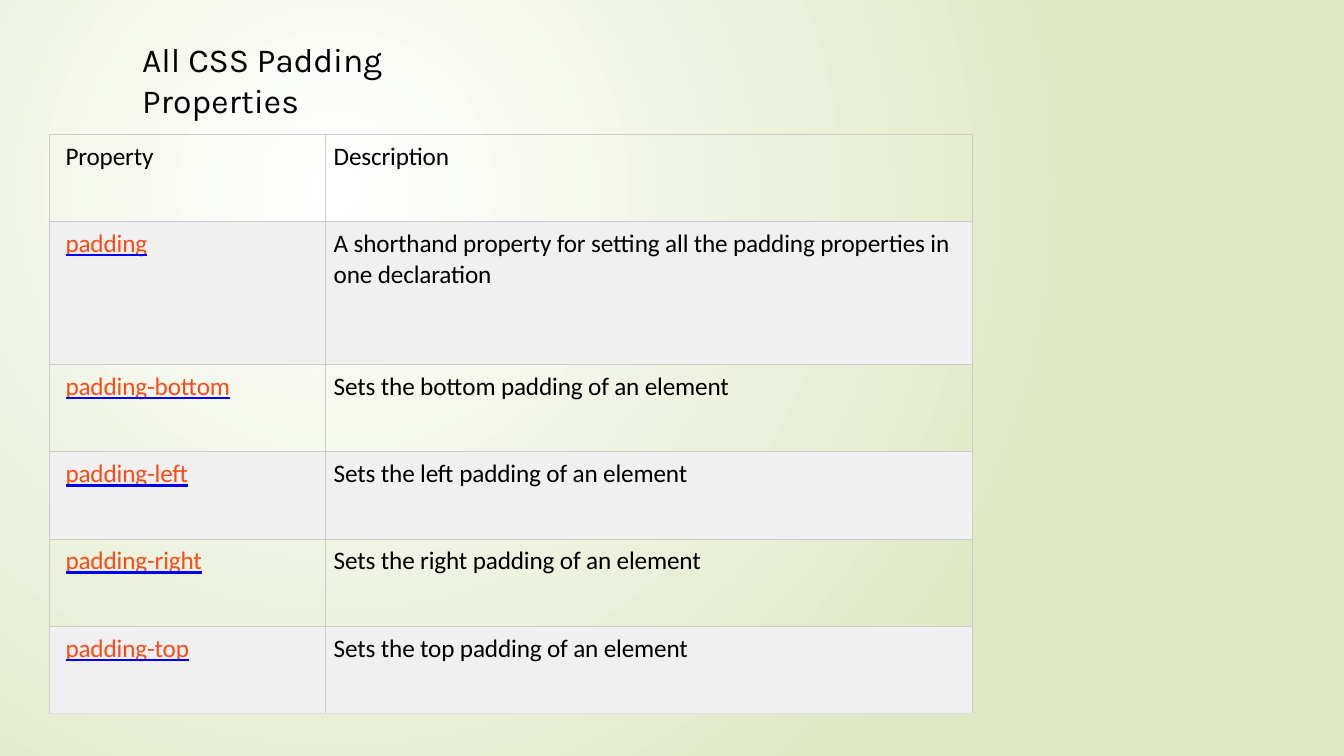
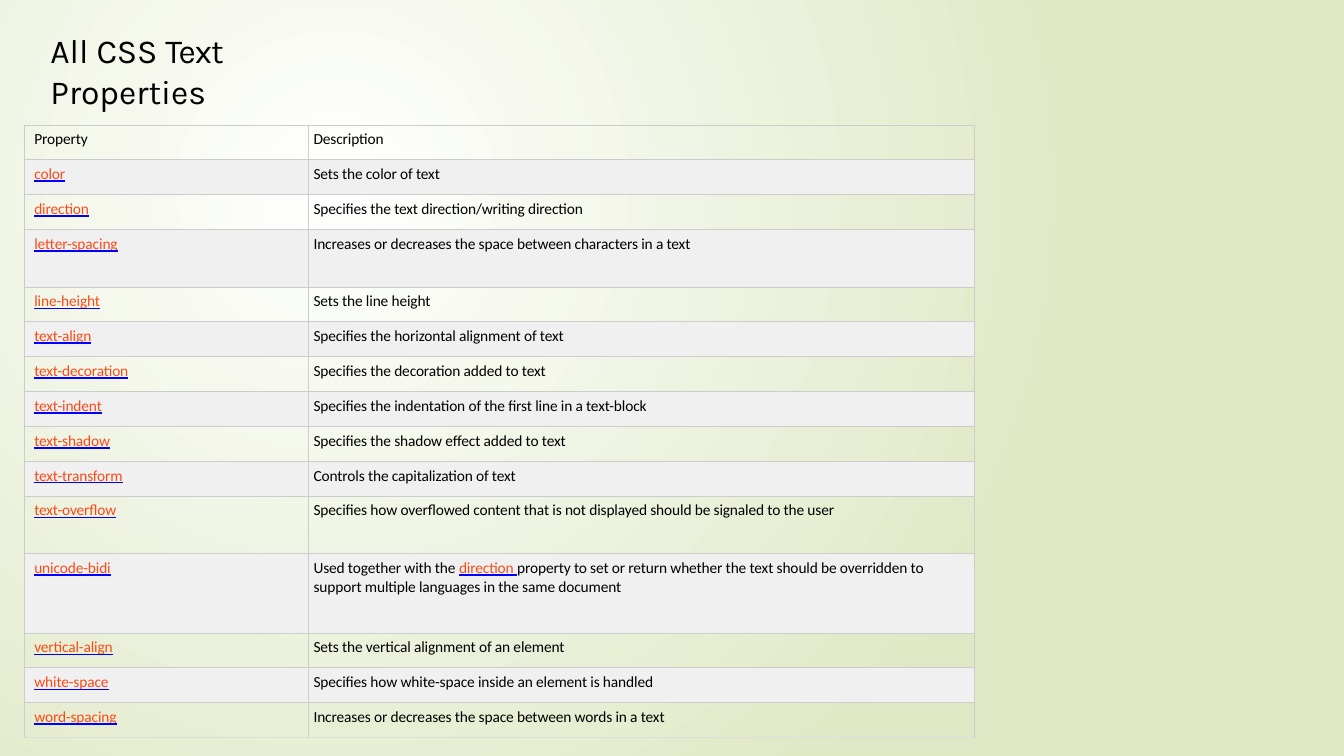
from lxml import etree
from pptx import Presentation
from pptx.dml.color import RGBColor
from pptx.enum.text import MSO_ANCHOR, MSO_AUTO_SIZE, PP_ALIGN
from pptx.oxml.ns import qn
from pptx.util import Inches, Pt

TOP = MSO_ANCHOR.TOP
LEFT = PP_ALIGN.LEFT
GROW = MSO_AUTO_SIZE.SHAPE_TO_FIT_TEXT

BLACK = RGBColor(0x00, 0x00, 0x00)
WHITE = RGBColor(0xFF, 0xFF, 0xFF)
SAGE = RGBColor(0xDF, 0xE8, 0xC4)
BAND = RGBColor(0xF0, 0xF0, 0xF0)
LINK = RGBColor(0xFB, 0x4A, 0x18)
UNDERLINE = RGBColor(0x00, 0x00, 0xFF)
GRID = RGBColor(0xCC, 0xCC, 0xCC)
GRID_END = RGBColor(0xDD, 0xDD, 0xDD)

TITLE_ONLY = 5
HEADER = ("Property", "Description")


def solid_fill(parent, color):
    fill = etree.SubElement(parent, qn("a:solidFill"))
    etree.SubElement(fill, qn("a:srgbClr"), val=str(color))


class Deck:
    """Shared style and the slide being built."""

    def __init__(self):
        self.prs = Presentation()
        self.prs.slide_width = Inches(13.33)
        self.prs.slide_height = Inches(7.5)
        self.s = None
        self.background()

    def background(self):
        """Radial gradient on the master, centred in the upper left."""
        master = self.prs.slide_master
        fill = master.background.fill
        fill.gradient()
        for stop, color in zip(fill.gradient_stops, (WHITE, SAGE)):
            stop.color.rgb = color
        grad = master.element.find(".//" + qn("a:gradFill"))
        grad.remove(grad.find(qn("a:lin")))
        circle = etree.SubElement(grad, qn("a:path"), path="circle")
        etree.SubElement(circle, qn("a:fillToRect"),
                         l="50000", t="50000", r="100000", b="100000")

    def slide(self):
        layout = self.prs.slide_layouts[TITLE_ONLY]
        self.s = self.prs.slides.add_slide(layout)

    def run(self, p, text, font, size, color=BLACK, spacing=-0.1):
        r = p.add_run()
        r.text = text
        r.font.name = font
        r.font.size = Pt(size)
        r.font.color.rgb = color
        r.font._element.set("spc", str(round(spacing * 100)))
        return r

    def title(self, left, top, width, runs):
        """Title from (text, letter spacing) pairs."""
        sp = self.s.shapes.title
        sp.left, sp.top = Inches(left), Inches(top)
        sp.width, sp.height = Inches(width), Inches(0.43)
        tf = sp.text_frame
        tf.word_wrap = True
        tf.auto_size = GROW
        tf.vertical_anchor = TOP
        tf.margin_left = tf.margin_top = Inches(0.01)
        tf.margin_right = tf.margin_bottom = 0
        p = tf.paragraphs[0]
        p.alignment = LEFT
        p.space_before = Pt(1)
        for text, spacing in runs:
            self.run(p, text, "Karla", 24, spacing=spacing)

    def link(self, p, text, size):
        r = self.run(p, text, "Calibri", size, LINK)
        r.font.underline = True
        line = etree.Element(qn("a:uFill"))
        solid_fill(line, UNDERLINE)
        r.font._element.find(qn("a:latin")).addprevious(line)

    def borders(self, cell, last):
        tc_pr = cell._tc.get_or_add_tcPr()
        for i, side in enumerate(("lnL", "lnR", "lnT", "lnB")):
            ln = etree.Element(qn("a:" + side), w=str(Pt(0.75)))
            solid_fill(ln, GRID_END if last and side == "lnB" else GRID)
            tc_pr.insert(i, ln)

    def cell(self, cell, text, size, inset, pad_top, before, banded, last):
        """Cell text; parts between asterisks look like links."""
        cell.margin_left, cell.margin_top = Inches(inset), Inches(pad_top)
        cell.margin_right = cell.margin_bottom = 0
        cell.vertical_anchor = TOP
        if banded:
            cell.fill.solid()
            cell.fill.fore_color.rgb = BAND
        else:
            cell.fill.background()
        self.borders(cell, last)
        p = cell.text_frame.paragraphs[0]
        p.space_before = Pt(before)
        for i, part in enumerate(text.split("*")):
            if part and i % 2:
                self.link(p, part, size)
            elif part:
                self.run(p, part, "Calibri", size)

    def table(self, left, top, height, widths, rows, tall,
              size, insets, pad_top, before):
        """Property table; tall maps row numbers to their heights."""
        rows = [HEADER] + [(f"*{name}*", text) for name, text in rows]
        count = len(rows)
        frame = self.s.shapes.add_table(
            count, len(widths), Inches(left), Inches(top),
            Inches(sum(widths)), Inches(height))
        tbl = frame.table
        tbl.first_row = tbl.horz_banding = False
        for column, width in zip(tbl.columns, widths):
            column.width = Inches(width)
        plain = (height - sum(tall.values())) / (count - len(tall))
        for i, row in enumerate(rows):
            tbl.rows[i].height = Inches(tall.get(i, plain))
            for j, text in enumerate(row):
                self.cell(tbl.cell(i, j), text, size, insets[j], pad_top,
                          before, i % 2 == 1, i == count - 1)


PADDING_ROWS = [
    ("padding", "A shorthand property for setting all the padding "
                "properties in one declaration"),
] + [(f"padding-{side}", f"Sets the {side} padding of an element")
     for side in ("bottom", "left", "right", "top")]

TEXT_ROWS = [
    ("color", "Sets the color of text"),
    ("direction", "Specifies the text direction/writing direction"),
    ("letter-spacing",
     "Increases or decreases the space between characters in a text"),
    ("line-height", "Sets the line height"),
    ("text-align", "Specifies the horizontal alignment of text"),
    ("text-decoration", "Specifies the decoration added to text"),
    ("text-indent",
     "Specifies the indentation of the first line in a text-block"),
    ("text-shadow", "Specifies the shadow effect added to text"),
    ("text-transform", "Controls the capitalization of text"),
    ("text-overflow", "Specifies how overflowed content that is not "
                      "displayed should be signaled to the user"),
    ("unicode-bidi", "Used together with the *direction *property to set or "
                     "return whether the text should be overridden to "
                     "support multiple languages in the same document"),
    ("vertical-align", "Sets the vertical alignment of an element"),
    ("white-space", "Specifies how white-space inside an element is handled"),
    ("word-spacing",
     "Increases or decreases the space between words in a text"),
]


def main():
    deck = Deck()

    # Padding properties
    deck.slide()
    deck.title(1.4, 0.38, 3.9, [("All ", 0), ("CSS Padding ", -0.1),
                                ("Properties", 0.1)])
    deck.table(0.49, 1.33, 5.75, (2.74, 6.42), PADDING_ROWS, {1: 1.42},
               size=18, insets=(0.16, 0.08), pad_top=0.07, before=5)

    # Text properties
    deck.slide()
    deck.title(0.49, 0.29, 3.25, [("All ", 0), ("CSS ", -0.1),
                                  ("Text ", -0.7), ("Properties", 0)])
    deck.table(0.24, 1.24, 6.08, (2.82, 6.6), TEXT_ROWS,
               {3: 0.57, 10: 0.57, 11: 0.79},
               size=11, insets=(0.1, 0.05), pad_top=0.05, before=3.3)

    deck.prs.save("out.pptx")


if __name__ == "__main__":
    main()
